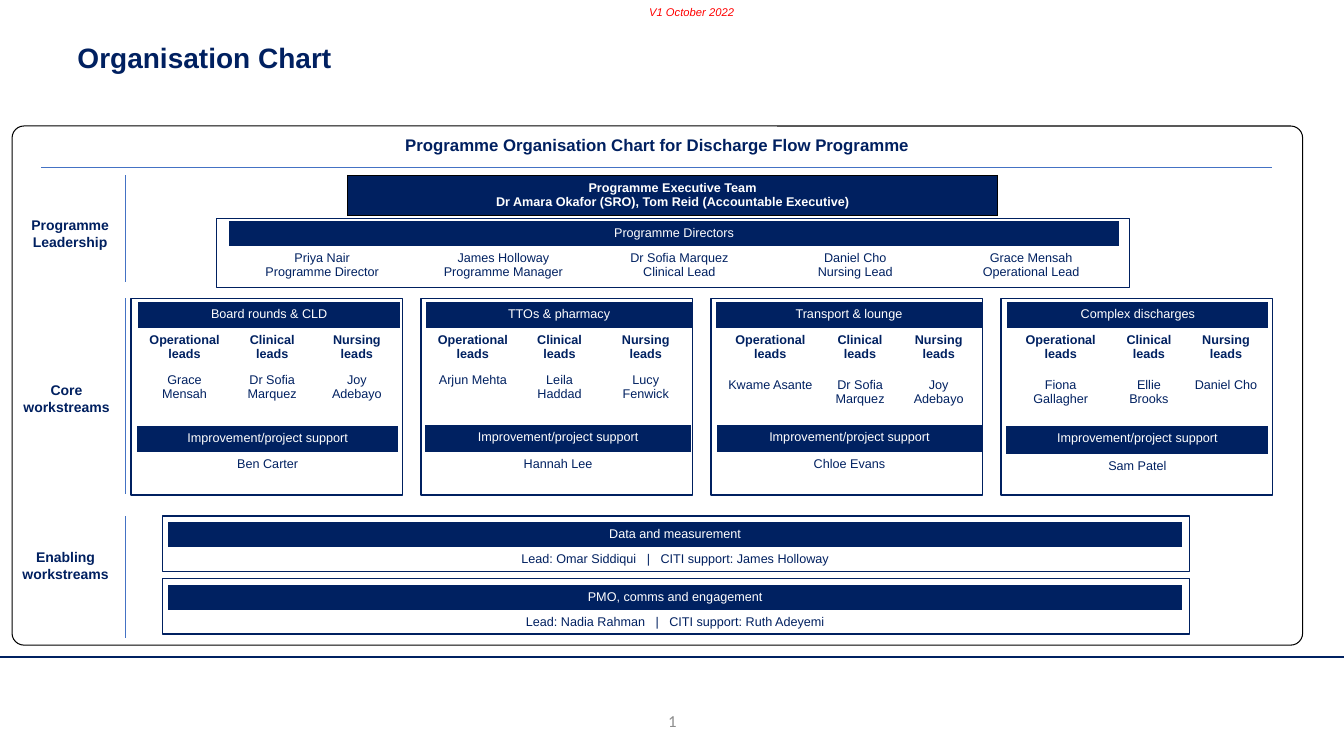
import pptx
import pptx.util
import pptx.dml.color
import pptx.enum.shapes
import pptx.enum.text
import pptx.oxml
import pptx.oxml.ns

Inches, Pt = pptx.util.Inches, pptx.util.Pt
RGB = pptx.dml.color.RGBColor.from_string
Align, Anchor = pptx.enum.text.PP_ALIGN, pptx.enum.text.MSO_ANCHOR
Shape, Link = pptx.enum.shapes.MSO_SHAPE, pptx.enum.shapes.MSO_CONNECTOR

# Theme: colours and text formats
theme = {
    "navy": "002060", "bar": "002161", "white": "FFFFFF", "black": "000000", "rule": "4472C4",
    "plain": "{2D5ABB26-0587-4C30-8999-92F81FD0307C}",
    "title": ("002060", {"name": "Arial", "size": Pt(20), "bold": True}),
    "head": ("002060", {"name": "Arial", "size": Pt(12), "bold": True}),
    "label": ("002060", {"name": "Arial", "size": Pt(10), "bold": True}),
    "top": ("FFFFFF", {"name": "Arial", "size": Pt(9), "bold": True}),
    "band": ("FFFFFF", {"name": "Arial", "size": Pt(9), "bold": False}),
    "role": ("002161", {"name": "Arial", "size": Pt(9), "bold": True}),
    "name": ("002161", {"name": "Arial", "size": Pt(9), "bold": False}),
    "lead": ("002060", {"name": "Arial", "size": Pt(9), "bold": False}),
    "stamp": ("FF0000", {"name": "Arial", "size": Pt(8), "italic": True}),
    "page": ("8C8C8C", {"name": "Calibri", "size": Pt(12)}),
}

deck = pptx.Presentation()
deck.slide_width, deck.slide_height = Inches(13.33), Inches(7.5)
slide = deck.slides.add_slide(deck.slide_layouts[6])
shapes = slide.shapes


def write(frame, text, style, align=Align.CENTER, space=None):
    color, fmt = theme[style]
    for i, line in enumerate(text.split("\n")):
        para = frame.paragraphs[0] if i == 0 else frame.add_paragraph()
        para.alignment = align
        para.line_spacing = space
        run = para.add_run()
        run.text = line
        run.font.color.rgb = RGB(color)
        for key, value in fmt.items():
            setattr(run.font, key, value)


def grid(left, top, cols, rows, texts, styles):
    frame = shapes.add_table(len(rows), len(cols), Inches(left), Inches(top),
                             Inches(sum(cols)), Inches(sum(rows)))
    table = frame.table
    table.first_row = table.horz_banding = False
    table._tbl.tblPr.find(pptx.oxml.ns.qn("a:tableStyleId")).text = theme["plain"]
    for col, width in zip(table.columns, cols):
        col.width = Inches(width)
    for row, height in zip(table.rows, rows):
        row.height = Inches(height)
    if len(cols) > 1:
        table.cell(0, 0).merge(table.cell(0, len(cols) - 1))
    for cell in table.iter_cells():
        cell.fill.solid()
        cell.fill.fore_color.rgb = RGB(theme["white"])
    table.cell(0, 0).fill.fore_color.rgb = RGB(theme["bar"])
    for r, (line, style) in enumerate(zip(texts, styles)):
        for c, text in enumerate(line):
            write(table.cell(r, c).text_frame, text, style)
    return table


# Outer panel with its heading
panel = shapes.add_shape(Shape.ROUNDED_RECTANGLE, Inches(0.12), Inches(1.25), Inches(12.8), Inches(5.15))
panel.adjustments[0] = 0.023
panel.shadow.inherit = False
panel.fill.solid()
panel.fill.fore_color.rgb = RGB(theme["white"])
panel.line.color.rgb = RGB(theme["black"])
panel.line.width = Pt(0.75)
panel.text_frame.vertical_anchor = Anchor.TOP
write(panel.text_frame, "Programme Organisation Chart for Discharge Flow Programme", "head")

# Rules
for x1, y1, x2, y2, color, width in [
    (0, 6.52, 13.33, 6.52, "bar", 1),
    (0.41, 1.66, 12.62, 1.66, "rule", 0.5),
    (1.24, 1.74, 1.24, 2.8, "rule", 0.5),
    (1.24, 2.96, 1.24, 4.9, "rule", 0.5),
    (1.24, 5.12, 1.24, 6.33, "rule", 0.5),
]:
    rule = shapes.add_connector(Link.STRAIGHT, Inches(x1), Inches(y1), Inches(x2), Inches(y2))
    rule.line.color.rgb = RGB(theme[color])
    rule.line.width = Pt(width)
    rule._element.spPr.append(pptx.oxml.parse_xml("<a:effectLst %s/>" % pptx.oxml.ns.nsdecls("a")))

# Programme leadership
team = grid(3.45, 1.74, [6.44], [0.4],
            [["Programme Executive Team\nDr Amara Okafor (SRO), Tom Reid (Accountable Executive)"]], ["top"])
cell = team.cell(0, 0)
cell.vertical_anchor = Anchor.MIDDLE
cell.fill.fore_color.rgb = RGB(theme["navy"])
props = cell._tc.get_or_add_tcPr()
for i, side in enumerate(["lnL", "lnR", "lnT", "lnB"]):
    props.insert(i, pptx.oxml.parse_xml(
        '<a:%s %s w="12700"><a:solidFill><a:srgbClr val="%s"/></a:solidFill></a:%s>'
        % (side, pptx.oxml.ns.nsdecls("a"), theme["black"], side)))

grid(2.27, 2.19, [1.85] + [6.98 / 4] * 4, [0.25, 0.44], [
    ["Programme Directors"],
    ["Priya Nair\nProgramme Director", "James Holloway\nProgramme Manager",
     "Dr Sofia Marquez\nClinical Lead", "Daniel Cho\nNursing Lead",
     "Grace Mensah\nOperational Lead"],
], ["band", "name"])
boxes = [(2.15, 2.17, 9.05, 0.68)]

# Core workstreams: leads above, support below
roles = ["Operational leads", "Clinical leads", "Nursing leads"]
streams = [
    ("Board rounds & CLD", 1.37, [0.92, 0.82, 0.86], [0.25, 0.4, 0.73, 0.73],
     ["Grace Mensah", "Dr Sofia Marquez", "Joy Adebayo"], 1.36, 4.23, 2.59, 0.25, "Ben Carter"),
    ("TTOs & pharmacy", 4.23, [0.92, 0.8, 0.91], [0.25, 0.4, 0.78],
     ["Arjun Mehta", "Leila Haddad", "Lucy Fenwick"], 4.22, 4.22, 2.63, 0.26, "Hannah Lee"),
    ("Transport & lounge", 7.1, [1.08, 0.7, 0.86], [0.25, 0.45, 0.93],
     ["Kwame Asante", "Dr Sofia Marquez", "Joy Adebayo"], 7.11, 4.22, 2.63, 0.26, "Chloe Evans"),
    ("Complex discharges", 9.99, [1.06, 0.69, 0.84], [0.25, 0.45, 0.93],
     ["Fiona Gallagher", "Ellie Brooks", "Daniel Cho"], 9.98, 4.23, 2.6, 0.27, "Sam Patel"),
]
for i, (stream, left, cols, rows, leads, x, y, width, bar, helper) in enumerate(streams):
    grid(left, 3, cols, rows, [[stream], roles, leads], ["band", "role", "name"])
    grid(x, y, [width], [bar, 0.38], [["Improvement/project support"], [helper]], ["band", "name"])
    boxes.append((1.3 + 8.63 / 3 * i, 2.96, 2.69, 1.95))

# Enabling workstreams
for top, stream, leads in [
    (5.18, "Data and measurement", "Lead: Omar Siddiqui   |   CITI support: James Holloway"),
    (5.8, "PMO, comms and engagement", "Lead: Nadia Rahman   |   CITI support: Ruth Adeyemi"),
]:
    grid(1.67, top, [10.05], [0.25, 0.25], [[stream], [leads]], ["band", "lead"])
    boxes.append((1.61, top - 0.06, 10.19, 0.55))

# Frames around the groups
for place in boxes:
    box = shapes.add_shape(Shape.RECTANGLE, *map(Inches, place))
    box.shadow.inherit = False
    box.fill.background()
    box.line.color.rgb = RGB(theme["navy"])
    box.line.width = Pt(1)

# Side labels, title, version and page number
for place, text, style, align, anchor, wrap, space in [
    ((0.19, 2.1, 1.01, 0.44), "Programme Leadership", "label", Align.CENTER, Anchor.TOP, True, None),
    ((0.08, 3.74, 1.16, 0.44), "Core workstreams", "label", Align.CENTER, Anchor.TOP, True, None),
    ((0.1, 5.39, 1.1, 0.44), "Enabling workstreams", "label", Align.CENTER, Anchor.TOP, True, None),
    ((0.67, 0.25, 9.58, 0.67), "Organisation Chart", "title", Align.LEFT, Anchor.MIDDLE, True, 0.9),
    ((6.34, 0, 1.06, 0.24), "V1 October 2022", "stamp", Align.LEFT, Anchor.TOP, False, None),
    ((5.62, 6.95, 2.1, 0.4), "1", "page", Align.CENTER, Anchor.MIDDLE, True, None),
]:
    frame = shapes.add_textbox(*map(Inches, place)).text_frame
    frame.word_wrap = wrap
    frame.vertical_anchor = anchor
    write(frame, text, style, align, space)

deck.save("out.pptx")
